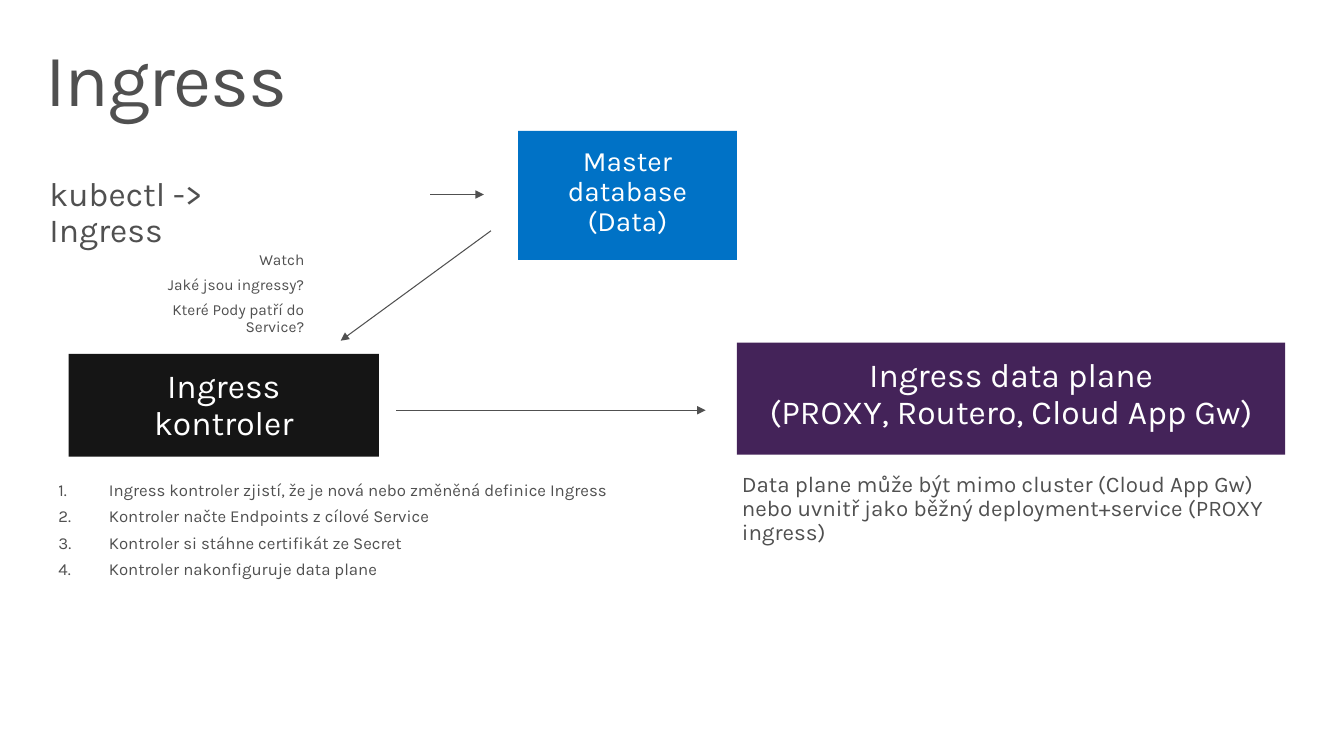
from lxml import etree
from pptx import Presentation
from pptx import util as u
from pptx.dml.color import RGBColor
from pptx.enum import shapes, text
from pptx.oxml.ns import qn

WIDTH, HEIGHT = u.Inches(13.333), u.Inches(7.5)
FONT, GRAY, WHITE = "Karla", "505050", "FFFFFF"
LEFT, CENTER, RIGHT = text.PP_ALIGN.LEFT, text.PP_ALIGN.CENTER, text.PP_ALIGN.RIGHT


def color(value):
    return RGBColor.from_string(value)


def place(x, y):
    """Turn percentages of the slide's width and height into lengths."""
    return int(WIDTH * x / 100), int(HEIGHT * y / 100)


def write(box, lines, size=12, ink=GRAY, align=LEFT, after=6, inset=(0.2, 0.16),
          numbered=False, spacing=0):
    frame = box.text_frame
    frame.word_wrap = True
    frame.vertical_anchor = text.MSO_ANCHOR.TOP
    frame.margin_left = frame.margin_right = u.Inches(inset[0])
    frame.margin_top = frame.margin_bottom = u.Inches(inset[1])
    for index, line in enumerate(lines):
        para = frame.paragraphs[0] if index == 0 else frame.add_paragraph()
        para.alignment, para.line_spacing = align, 0.9
        para.space_after = u.Pt(after)
        span = para.add_run()
        span.text = line
        span.font.name, span.font.size = FONT, u.Pt(size)
        span.font.color.rgb = color(ink)
        if spacing:
            span.font._element.set("spc", str(spacing))
        if numbered:
            props = para._p.get_or_add_pPr()
            props.set("marL", str(u.Inches(0.5)))
            props.set("indent", str(-u.Inches(0.5)))
            etree.SubElement(props, qn("a:buFont"), typeface="+mj-lt")
            etree.SubElement(props, qn("a:buAutoNum"), type="arabicPeriod")


def add_text(page, x, y, w, h, lines, **style):
    write(page.shapes.add_textbox(*place(x, y), *place(w, h)), lines, **style)


def add_block(page, x, y, w, h, fill, lines, size=24):
    block = page.shapes.add_shape(shapes.MSO_SHAPE.RECTANGLE, *place(x, y), *place(w, h))
    block.shadow.inherit = False
    block.fill.solid()
    block.fill.fore_color.rgb = color(fill)
    block.line.fill.background()
    write(block, lines, size=size, ink=WHITE, align=CENTER, after=0)


def add_arrow(page, start, end):
    arrow = page.shapes.add_connector(shapes.MSO_CONNECTOR.STRAIGHT, *place(*start), *place(*end))
    arrow.line.color.rgb = color(GRAY)
    arrow.line.width = u.Pt(0.75)
    etree.SubElement(arrow.line._get_or_add_ln(), qn("a:tailEnd"), type="triangle")
    etree.SubElement(arrow._element.spPr, qn("a:effectLst"))


def main():
    deck = Presentation()
    deck.slide_width, deck.slide_height = WIDTH, HEIGHT
    page = deck.slides.add_slide(deck.slide_layouts[6])

    # Title and command
    add_text(page, 2.18, 4.27, 95.63, 13.07, ["Ingress"],
             size=52.9, after=0, inset=(0.16, 0.1), spacing=-100)
    add_text(page, 2.18, 21.33, 22.5, 9.2, ["kubectl -> Ingress"], size=24)

    # Components
    add_block(page, 38.55, 17.33, 16.28, 17.07, "0072C6", ["Master database (Data)"], size=20)
    add_block(page, 54.83, 45.33, 40.8, 14.8, "442359",
              ["Ingress data plane", "(PROXY, Routero, Cloud App Gw)"])
    add_block(page, 5.1, 46.8, 23.1, 13.6, "151515", ["Ingress", "kontroler"])

    # Flow between components
    add_arrow(page, (32.03, 25.73), (36, 25.73))
    add_arrow(page, (36.53, 30.53), (25.35, 45.07))
    add_arrow(page, (29.48, 54.27), (52.5, 54.27))

    # Explanations
    add_text(page, 9.9, 31.2, 14.25, 18.8,
             ["Watch", "Jaké jsou ingressy?", "Které Pody patří do Service?"],
             size=11, align=RIGHT)
    add_text(page, 2.85, 61.6, 47.78, 17.33, [
        "Ingress kontroler zjistí, že je nová nebo změněná definice Ingress",
        "Kontroler načte Endpoints z cílové Service",
        "Kontroler si stáhne certifikát ze Secret",
        "Kontroler nakonfiguruje data plane",
    ], numbered=True)
    add_text(page, 53.7, 60.4, 44.1, 14, [
        "Data plane může být mimo cluster (Cloud App Gw) nebo uvnitř "
        "jako běžný deployment+service (PROXY ingress)",
    ], size=16)

    deck.save("out.pptx")


if __name__ == "__main__":
    main()
